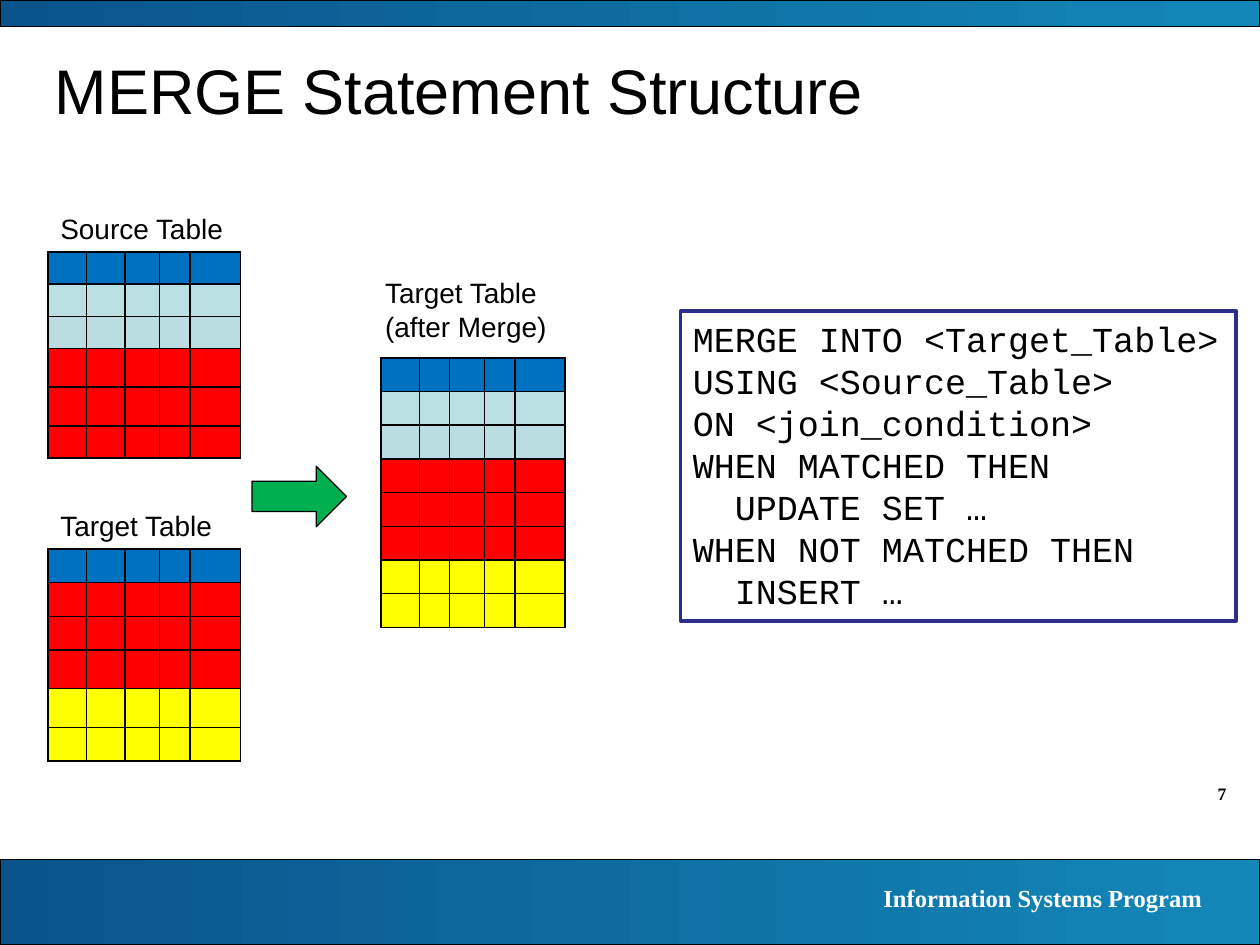
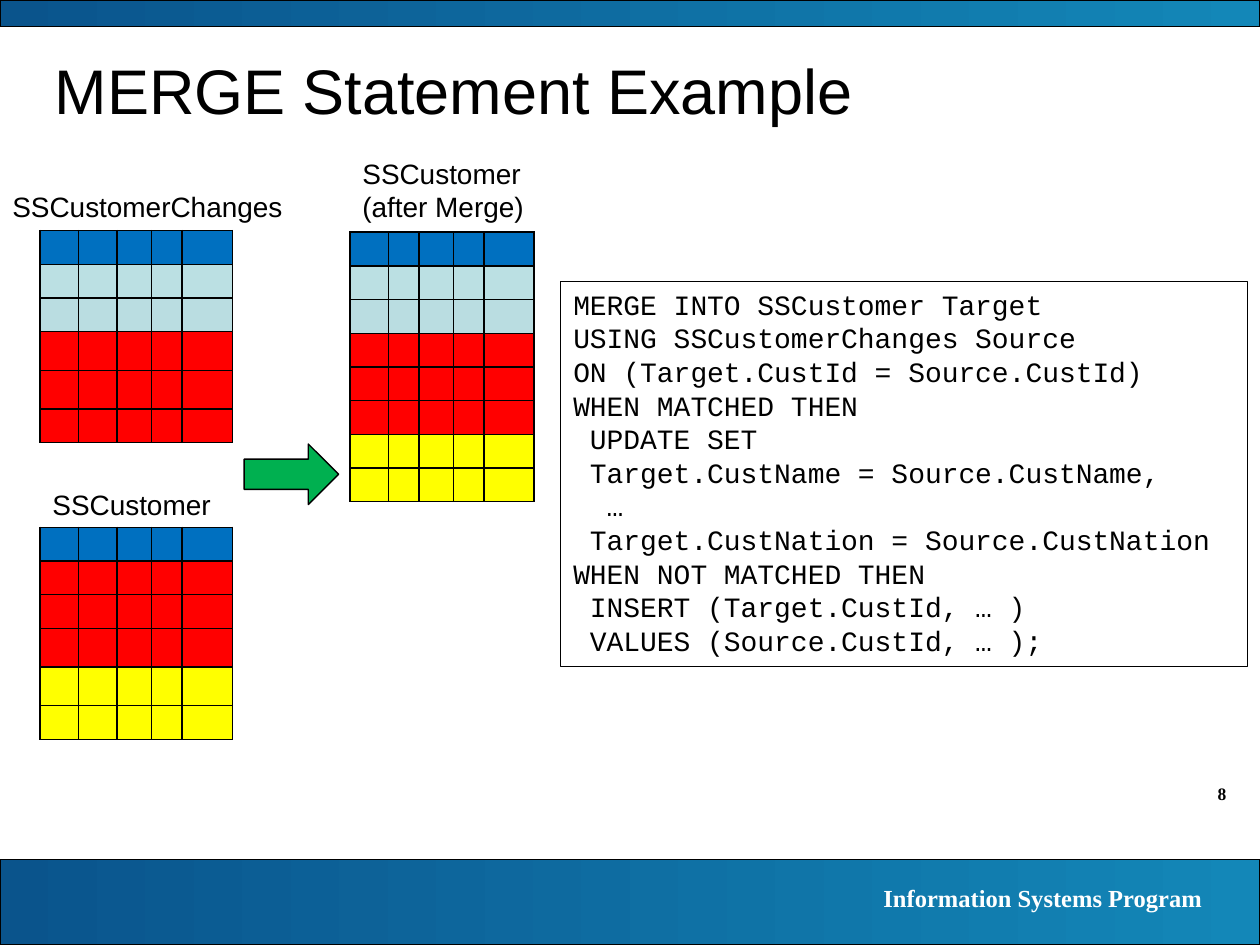
from lxml.etree import SubElement
from pptx import Presentation
from pptx.dml.color import RGBColor
from pptx.enum.shapes import MSO_SHAPE as Shape
from pptx.enum.text import MSO_ANCHOR as Anchor, PP_ALIGN as Align
from pptx.oxml.ns import qn
from pptx.util import Pt


def color(value):
    return RGBColor.from_string(value)


def write(box, text, font, size, ink="000000", bold=False, align=Align.LEFT, anchor=Anchor.TOP):
    frame = box.text_frame
    frame.text = text
    frame.word_wrap = True
    frame.vertical_anchor = anchor
    for para in frame.paragraphs:
        para.alignment = align
        for span in para.runs:
            span.font.name = font
            span.font.size = Pt(size)
            span.font.bold = bold
            span.font.color.rgb = color(ink)


BLACK = "000000"
HEADER, RED, YELLOW = "0070C0", "FF0000", "FFFF00"
NEW_ROWS = ["BBE0E3", "BADDE1"]
SOURCE_ROWS = [HEADER, *NEW_ROWS] + [RED] * 3
TARGET_ROWS = [HEADER] + [RED] * 3 + [YELLOW] * 2
MERGED_ROWS = [HEADER, *NEW_ROWS] + [RED] * 3 + [YELLOW] * 2
INPUT_COLUMNS = [22, 22, 19.7, 17.4, 28.9]
MERGED_COLUMNS = [22, 17.3, 20, 17.4, 28.5]
ROW = 19.25
TALL_ROW = 22.1
SOURCE_HEIGHTS = [ROW] * 3 + [TALL_ROW] * 2 + [ROW]
SHORT_HEIGHTS = [18.4] * 3 + [TALL_ROW] * 2 + [18.4]
TARGET_HEIGHTS = [ROW] * 3 + [TALL_ROW] * 2 + [ROW]
MERGED_HEIGHTS = [ROW] * 8

slides = [
    {
        "number": "7",
        "title": "MERGE Statement Structure",
        "tables": [
            (27.4, 144, INPUT_COLUMNS, SHORT_HEIGHTS, SOURCE_ROWS),
            (217.6, 204.5, MERGED_COLUMNS, MERGED_HEIGHTS, MERGED_ROWS),
            (27.4, 313.7, INPUT_COLUMNS, TARGET_HEIGHTS, TARGET_ROWS),
        ],
        "labels": [
            (27.4, 117.4, 120, 26.6, "Source Table"),
            (213, 154, 114, 46, "Target Table\n(after Merge)"),
            (27.4, 287.3, 111, 26.6, "Target Table"),
        ],
        "arrow": (144, 266.4),
        "code_box": (388.8, 177.8, 317.5, 177),
        "code_style": (20, "2D2D8A", 2),
        "code": [
            "MERGE INTO <Target_Table>",
            "USING <Source_Table>",
            "ON <join_condition>",
            "WHEN MATCHED THEN",
            "  UPDATE SET …",
            "WHEN NOT MATCHED THEN",
            "  INSERT …",
        ],
    },
    {
        "number": "8",
        "title": "MERGE Statement Example",
        "tables": [
            (22.9, 131.8, INPUT_COLUMNS, SOURCE_HEIGHTS, SOURCE_ROWS),
            (200, 132.7, MERGED_COLUMNS, MERGED_HEIGHTS, MERGED_ROWS),
            (22.9, 301.3, INPUT_COLUMNS, TARGET_HEIGHTS, TARGET_ROWS),
        ],
        "labels": [
            (0, 105, 171, 26.6, "SSCustomerChanges"),
            (200, 85.7, 112, 46, "SSCustomer\n(after Merge)"),
            (22.9, 275, 111, 26.6, "SSCustomer"),
        ],
        "arrow": (139.5, 253.7),
        "code_box": (320.5, 160.7, 392.6, 220.3),
        "code_style": (16, BLACK, 0.75),
        "code": [
            "MERGE INTO SSCustomer Target",
            "USING SSCustomerChanges Source",
            "ON (Target.CustId = Source.CustId)",
            "WHEN MATCHED THEN",
            " UPDATE SET",
            " Target.CustName = Source.CustName,",
            "  …",
            " Target.CustNation = Source.CustNation",
            "WHEN NOT MATCHED THEN",
            " INSERT (Target.CustId, … )",
            " VALUES (Source.CustId, … );",
        ],
    },
]

deck = Presentation()
deck.slide_width, deck.slide_height = Pt(720), Pt(540)

for content in slides:
    page = deck.slides.add_slide(deck.slide_layouts[5])
    page.background.fill.solid()
    page.background.fill.fore_color.rgb = color("FFFFFF")

    for top, height in [(491, 49), (0, 15)]:
        band = page.shapes.add_shape(Shape.RECTANGLE, 0, Pt(top), Pt(720), Pt(height))
        band.shadow.inherit = False
        band.fill.gradient()
        band.fill.gradient_angle = 0
        for stop, position, shade in zip(band.fill.gradient_stops, [0, 1], ["0A548C", "1387B8"]):
            stop.position = position
            stop.color.rgb = color(shade)
        band.line.color.rgb = color(BLACK)
        band.line.width = Pt(0.75)

    footer = page.shapes.add_textbox(Pt(399.6), Pt(501), Pt(294.5), Pt(24.5))
    write(footer, "Information Systems Program", "Times New Roman", 14, "FFFFFF", True, Align.RIGHT)
    number = page.shapes.add_textbox(Pt(648), Pt(444.2), Pt(59.8), Pt(19.4))
    write(number, content["number"], "Times New Roman", 10, bold=True, align=Align.RIGHT)

    title = page.shapes.title
    title.left, title.top, title.width, title.height = Pt(24), Pt(24), Pt(660), Pt(54)
    write(title, content["title"], "Arial", 36, anchor=Anchor.MIDDLE)

    for left, top, columns, heights, fills in content["tables"]:
        frame = page.shapes.add_table(
            len(fills), len(columns), Pt(left), Pt(top), Pt(sum(columns)), Pt(sum(heights)))
        table = frame.table
        for column, width in zip(table.columns, columns):
            column.width = Pt(width)
        for row, height, fill in zip(table.rows, heights, fills):
            row.height = Pt(height)
            for cell in row.cells:
                cell.margin_top = cell.margin_bottom = 0
                para = cell.text_frame.paragraphs[0]
                SubElement(para._p, qn("a:endParaRPr"), sz="1000")
                properties = cell._tc.get_or_add_tcPr()
                for side in ["a:lnL", "a:lnR", "a:lnT", "a:lnB"]:
                    border = SubElement(properties, qn(side), w=str(Pt(1)))
                    solid = SubElement(border, qn("a:solidFill"))
                    SubElement(solid, qn("a:srgbClr"), val=BLACK)
                cell.fill.solid()
                cell.fill.fore_color.rgb = color(fill)

    for left, top, width, height, text in content["labels"]:
        label = page.shapes.add_textbox(Pt(left), Pt(top), Pt(width), Pt(height))
        write(label, text, "Arial", 16)

    left, top = content["arrow"]
    arrow = page.shapes.add_shape(Shape.RIGHT_ARROW, Pt(left), Pt(top), Pt(54), Pt(34.6))
    arrow.shadow.inherit = False
    arrow.fill.solid()
    arrow.fill.fore_color.rgb = color("00B050")
    arrow.line.color.rgb = color(BLACK)
    arrow.line.width = Pt(0.75)

    size, outline, weight = content["code_style"]
    code = page.shapes.add_shape(Shape.RECTANGLE, *[Pt(length) for length in content["code_box"]])
    code.shadow.inherit = False
    code.fill.solid()
    code.fill.fore_color.rgb = color("FFFFFF")
    code.line.color.rgb = color(outline)
    code.line.width = Pt(weight)
    write(code, "\n".join(content["code"]), "Courier New", size)

deck.save("out.pptx")
